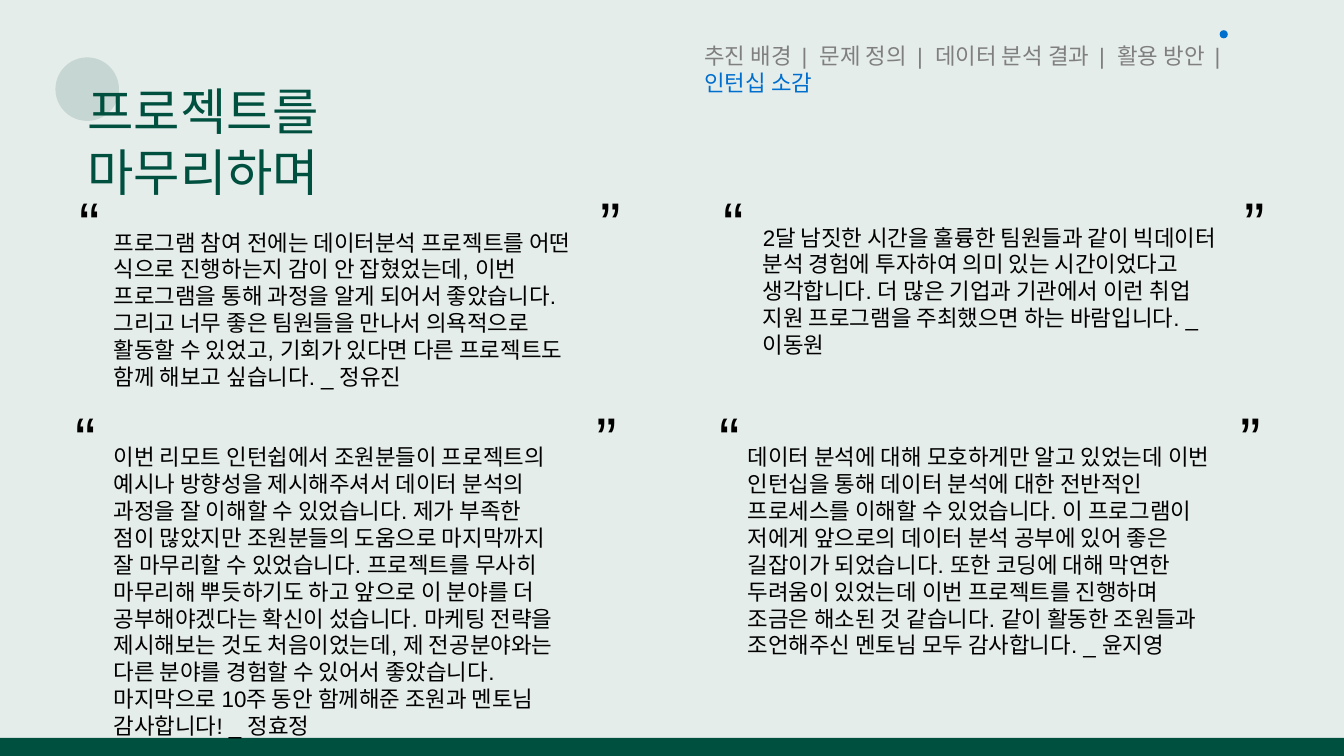
from dataclasses import dataclass

from lxml import etree
from pptx import Presentation
from pptx.dml.color import RGBColor
from pptx.enum.shapes import MSO_SHAPE as SHAPE
from pptx.enum.text import MSO_AUTO_SIZE as AUTO
from pptx.oxml.ns import qn
from pptx.util import Pt


@dataclass(frozen=True)
class Theme:
    font: str = "Arial"
    paper: str = "E5EDEB"
    green: str = "00503F"
    soft_green: str = "256152"
    blue: str = "006ECD"
    gray: str = "7F7F7F"
    ink: str = "000000"
    body: int = 16
    title: int = 36
    mark: int = 44


T = Theme()
WIDTH, HEIGHT = 960, 540
SEPARATOR = "  |  "
SECTIONS = ["추진 배경", "문제 정의", "데이터 분석 결과", "활용 방안"]
CURRENT = "인턴십 소감"

COLUMN_STEP = 460.1
ROWS = [(49.7, 128.9), (46.8, 282.2)]  # left and top of the first card
CARD_W, CARD_H = 406.8, 220
MARK_W, MARK_H = 34.6, 60.5

# Per row and column: text box (left, top, width, height) within its card, text
REVIEWS = [
    [
        ((24.5, 30.9, 347.8, 104.4),
         "프로그램 참여 전에는 데이터분석 프로젝트를 어떤 식으로 진행하는지 감이 안 잡혔었는데, "
         "이번 프로그램을 통해 과정을 알게 되어서 좋았습니다. 그리고 너무 좋은 팀원들을 만나서 "
         "의욕적으로 활동할 수 있었고, 기회가 있다면 다른 프로젝트도 함께 해보고 싶습니다. _ 정유진"),
        ((28, 27.3, 347.8, 85),
         "2달 남짓한 시간을 훌륭한 팀원들과 같이 빅데이터 분석 경험에 투자하여 의미 있는 "
         "시간이었다고 생각합니다. 더 많은 기업과 기관에서 이런 취업 지원 프로그램을 주최했으면 "
         "하는 바람입니다. _ 이동원"),
    ],
    [
        ((27.4, 31, 337, 181.4),
         "이번 리모트 인턴쉽에서 조원분들이 프로젝트의 예시나 방향성을 제시해주셔서 데이터 분석의 "
         "과정을 잘 이해할 수 있었습니다. 제가 부족한 점이 많았지만 조원분들의 도움으로 마지막까지 "
         "잘 마무리할 수 있었습니다. 프로젝트를 무사히 마무리해 뿌듯하기도 하고 앞으로 이 분야를 더 "
         "공부해야겠다는 확신이 섰습니다. 마케팅 전략을 제시해보는 것도 처음이었는데, 제 전공분야와는 "
         "다른 분야를 경험할 수 있어서 좋았습니다. 마지막으로 10주 동안 함께해준 조원과 멘토님 "
         "감사합니다! _ 정효정"),
        ((20.1, 31, 354.2, 143.3),
         "데이터 분석에 대해 모호하게만 알고 있었는데 이번 인턴십을 통해 데이터 분석에 대한 전반적인 "
         "프로세스를 이해할 수 있었습니다. 이 프로그램이 저에게 앞으로의 데이터 분석 공부에 있어 좋은 "
         "길잡이가 되었습니다. 또한 코딩에 대해 막연한 두려움이 있었는데 이번 프로젝트를 진행하며 "
         "조금은 해소된 것 같습니다. 같이 활동한 조원들과 조언해주신 멘토님 모두 감사합니다. _ 윤지영"),
    ],
]


def add_text(slide, box, runs, size):
    """Add a one-paragraph text box; runs are (text, colour) pairs."""
    tf = slide.shapes.add_textbox(*map(Pt, box)).text_frame
    tf.word_wrap = True
    tf.auto_size = AUTO.SHAPE_TO_FIT_TEXT
    p = tf.paragraphs[0]
    for text, color in runs:
        r = p.add_run()
        r.text = text
        r.font.name = T.font
        r.font.size = Pt(size)
        r.font.color.rgb = RGBColor.from_string(color)


def add_plain_shape(slide, kind, box, color, opacity=100):
    """Add a borderless filled shape; opacity is a percentage."""
    sp = slide.shapes.add_shape(kind, *map(Pt, box))
    sp.shadow.inherit = False
    sp.line.fill.background()
    sp.fill.solid()
    sp.fill.fore_color.rgb = RGBColor.from_string(color)
    if opacity < 100:
        clr = sp.fill._xPr.find(f".//{qn('a:srgbClr')}")
        etree.SubElement(clr, qn("a:alpha")).set("val", str(opacity * 1000))


def add_title(slide, box):
    x, y, w, h = box
    add_plain_shape(slide, SHAPE.OVAL, (x - 15.8, y - 13, 45.4, 45.4), T.soft_green, 16)
    add_text(slide, box, [("프로젝트를 마무리하며", T.green)], T.title)


def add_navigation(slide, box):
    x, y, w, h = box
    trail = "".join(name + SEPARATOR for name in SECTIONS)
    add_text(slide, box, [(trail, T.gray), (CURRENT, T.blue)], T.body)
    add_plain_shape(slide, SHAPE.OVAL, (x + 375.1, y - 5, 5.8, 5.8), T.blue)


def add_footer(slide, box):
    add_plain_shape(slide, SHAPE.RECTANGLE, box, T.green)


def add_review(slide, box, text_box, text):
    """Add a quotation between its opening and closing marks."""
    x, y, w, h = box
    dx, dy, text_w, text_h = text_box
    add_text(slide, (x + dx, y + dy, text_w, text_h), [(text, T.ink)], T.body)
    for mark, left in (("“", x), ("”", x + w - MARK_W)):
        add_text(slide, (left, y, MARK_W, MARK_H), [(mark, T.ink)], T.mark)


def main():
    prs = Presentation()
    prs.slide_width, prs.slide_height = Pt(WIDTH), Pt(HEIGHT)
    slide = prs.slides.add_slide(prs.slide_layouts[6])
    fill = slide.background.fill
    fill.solid()
    fill.fore_color.rgb = RGBColor.from_string(T.paper)

    add_footer(slide, (0, 527, WIDTH, 13))
    add_navigation(slide, (496.1, 26.6, 425.5, 26.6))
    add_title(slide, (55.4, 54, 330.5, 51))
    for (left, top), reviews in zip(ROWS, REVIEWS):
        for col, (text_box, text) in enumerate(reviews):
            card = (left + col * COLUMN_STEP, top, CARD_W, CARD_H)
            add_review(slide, card, text_box, text)
    prs.save("out.pptx")


if __name__ == "__main__":
    main()
